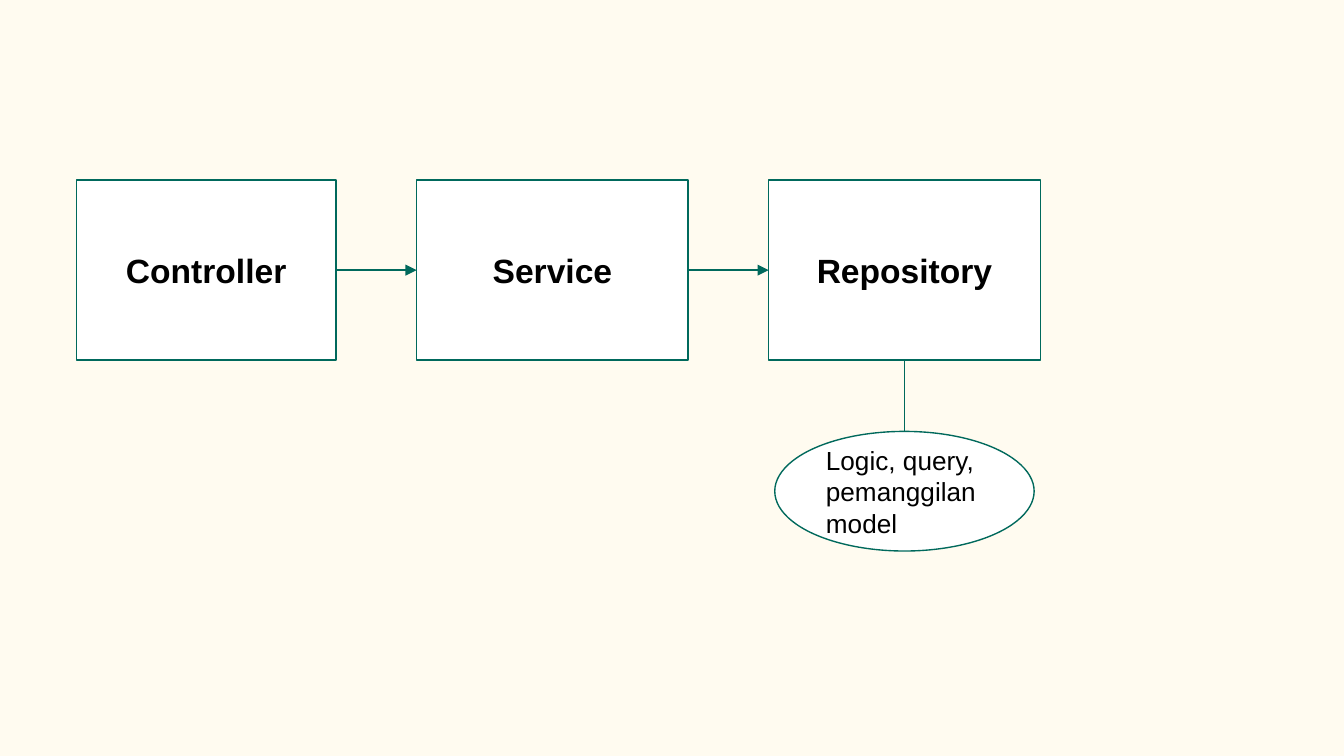
"""Builds a slide showing the controller, service and repository layers."""
from lxml import etree
from pptx import Presentation
from pptx.dml.color import RGBColor
from pptx.enum.shapes import MSO_CONNECTOR, MSO_SHAPE
from pptx.enum.text import MSO_ANCHOR, PP_ALIGN
from pptx.oxml.ns import qn
from pptx.util import Inches, Pt

RECTANGLE, OVAL = MSO_SHAPE.RECTANGLE, MSO_SHAPE.OVAL
STRAIGHT = MSO_CONNECTOR.STRAIGHT
MIDDLE = MSO_ANCHOR.MIDDLE
LEFT, CENTER = PP_ALIGN.LEFT, PP_ALIGN.CENTER
TOP_SITE, LEFT_SITE, BOTTOM_SITE, RIGHT_SITE = range(4)
COLORS = {"background": "FFFBF0", "fill": "FFFFFF", "line": "00695C", "text": "000000"}

presentation = Presentation()
presentation.slide_width = Inches(10)
presentation.slide_height = Inches(10) * 9 // 16
slide = presentation.slides.add_slide(presentation.slide_layouts[6])
slide.background.fill.solid()
slide.background.fill.fore_color.rgb = RGBColor.from_string(COLORS["background"])


def add_node(kind, left, top, width, height, text, size, bold, alignment):
    shape = slide.shapes.add_shape(
        kind, Inches(left), Inches(top), Inches(width), Inches(height))
    shape.shadow.inherit = False
    shape.fill.solid()
    shape.fill.fore_color.rgb = RGBColor.from_string(COLORS["fill"])
    shape.line.color.rgb = RGBColor.from_string(COLORS["line"])
    shape.line.width = Pt(0.75)
    frame = shape.text_frame
    frame.word_wrap = True
    frame.vertical_anchor = MIDDLE
    frame.margin_left = frame.margin_right = Inches(0.1)
    frame.margin_top = frame.margin_bottom = Inches(0.1)
    frame.text = text
    paragraph = frame.paragraphs[0]
    paragraph.alignment = alignment
    paragraph.font.name = "Arial"
    paragraph.font.size = Pt(size)
    paragraph.font.bold = bold
    paragraph.font.color.rgb = RGBColor.from_string(COLORS["text"])
    return shape


def connect(start, start_site, end, end_site, arrow):
    connector = slide.shapes.add_connector(STRAIGHT, 0, 0, 0, 0)
    connector.begin_connect(start, start_site)
    connector.end_connect(end, end_site)
    connector.line.color.rgb = RGBColor.from_string(COLORS["line"])
    connector.line.width = Pt(0.75)
    if arrow:
        etree.SubElement(connector.get_or_add_ln(), qn("a:tailEnd"), type="triangle")
    etree.SubElement(connector.element.spPr, qn("a:effectLst"))


layers = []
left, gap = 0.57, 0.6
for name, width in (("Controller", 1.93), ("Service", 2.02), ("Repository", 2.02)):
    layers.append(add_node(RECTANGLE, left, 1.34, width, 1.34, name, 18, True, CENTER))
    left += width + gap

for start, end in zip(layers, layers[1:]):
    connect(start, RIGHT_SITE, end, LEFT_SITE, True)

repository = layers[-1]
duties = add_node(OVAL, 5.77, 3.21, 1.93, 0.89,
                  "Logic, query, pemanggilan model", 14, False, LEFT)
duties.left = repository.left + (repository.width - duties.width) // 2
connect(repository, BOTTOM_SITE, duties, TOP_SITE, False)

presentation.save("out.pptx")
